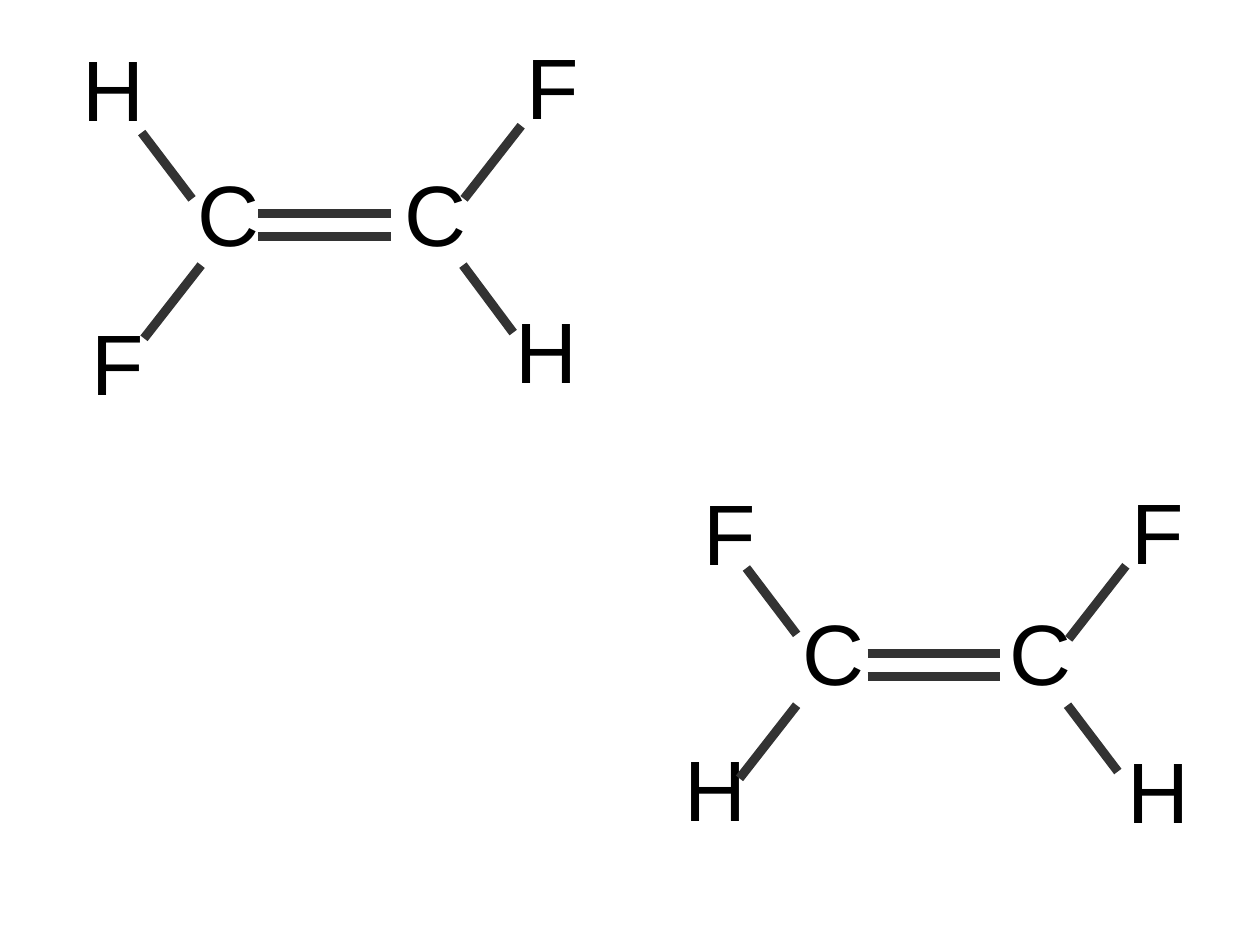
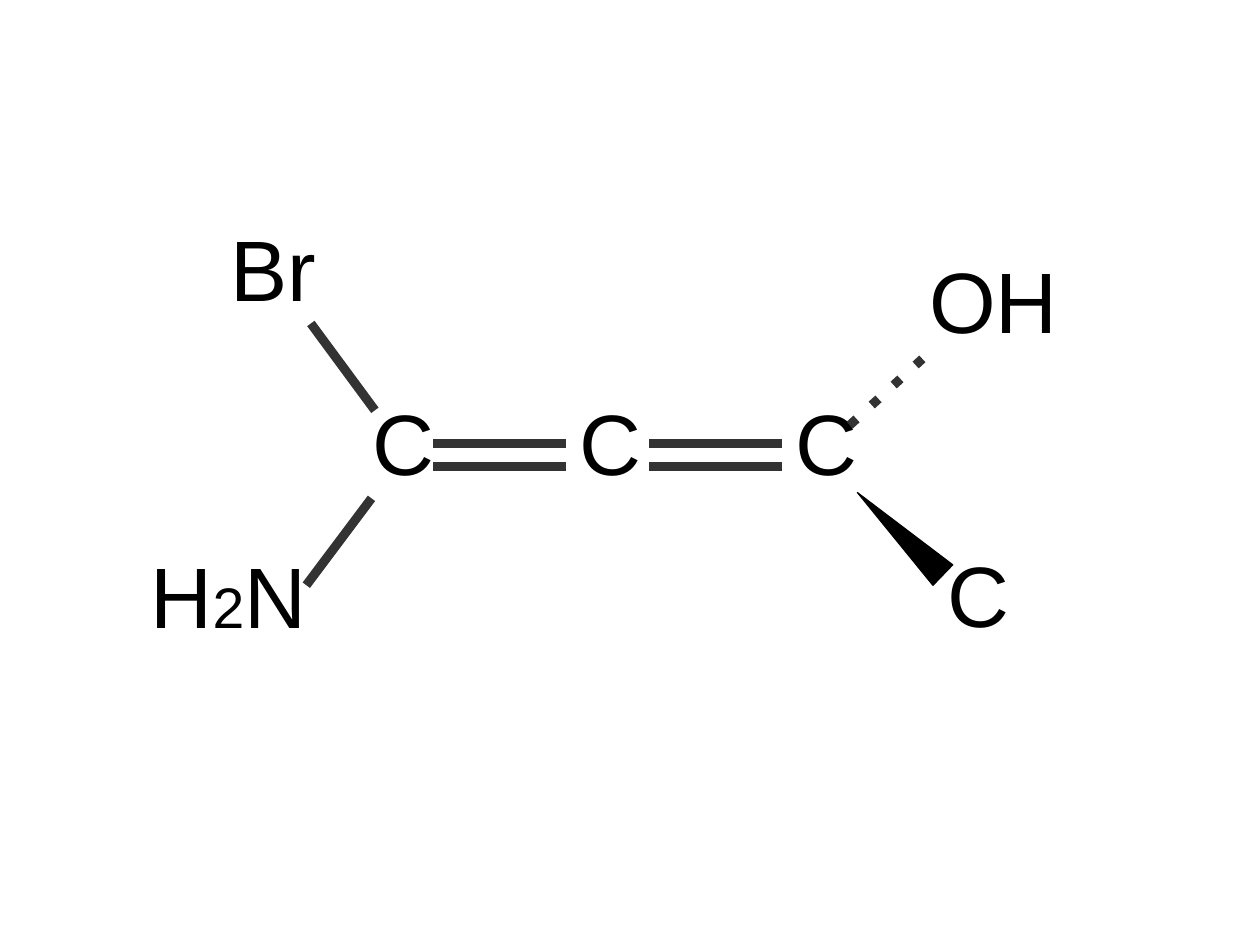
from dataclasses import dataclass
from itertools import groupby

from lxml.etree import SubElement
from pptx import Presentation
from pptx.dml.color import RGBColor
from pptx.enum.shapes import MSO_CONNECTOR, MSO_SHAPE
from pptx.enum.text import MSO_AUTO_SIZE
from pptx.oxml.ns import qn
from pptx.slide import Slide
from pptx.util import Inches, Pt

COLORS = {"text": "000000", "bond": "333333", "wedge": "000000", "back": "FFFFFF"}
FONT = "Arial"
SIZE = 54
SMALL = 36
WEIGHT = 5.75
HEIGHT = 1.21
SPAN = 1.16
GAP = 0.2
INCH = 2.54


@dataclass(frozen=True)
class Atom:
    label: str
    left: float
    top: float
    width: float = 0.88


@dataclass(frozen=True)
class Bond:
    x1: float
    y1: float
    x2: float
    y2: float
    dotted: bool = False


@dataclass(frozen=True)
class Wedge:
    left: float
    top: float
    width: float
    height: float
    turn: float


def double(left: float, top: float) -> list[Bond]:
    return [Bond(left, y, left + SPAN, y) for y in (top, top + GAP)]


TRANS = (
    Atom("C", 1.63, 1.36),
    Atom("C", 3.44, 1.36),
    Atom("H", 0.62, 0.26),
    Atom("F", 4.51, 0.25),
    Atom("F", 0.7, 2.66),
    Atom("H", 4.41, 2.56),
    *double(2.26, 1.87),
    Bond(1.24, 1.16, 1.68, 1.74),
    Bond(4.06, 1.74, 4.56, 1.1),
    Bond(1.26, 2.96, 1.76, 2.32),
    Bond(4.05, 2.32, 4.49, 2.91),
)

CIS = (
    Atom("C", 6.92, 5.2),
    Atom("C", 8.73, 5.2),
    Atom("F", 6.06, 4.15),
    Atom("F", 9.8, 4.14),
    Atom("H", 5.89, 6.39),
    Atom("H", 9.77, 6.41),
    *double(7.59, 5.72),
    Bond(6.53, 4.97, 6.97, 5.55),
    Bond(9.35, 5.59, 9.85, 4.95),
    Bond(6.47, 6.81, 6.97, 6.17),
    Bond(9.34, 6.17, 9.78, 6.75),
)

ALLENE = (
    Wedge(7.75, 4.15, 0.25, 1.04, 314),
    Atom("C", 3.16, 3.36),
    Atom("C", 4.97, 3.36),
    Atom("C", 6.86, 3.36),
    Atom("Br", 1.92, 1.84, 1.12),
    Atom("H2N", 1.22, 4.7, 1.93),
    Atom("OH", 8.03, 2.12, 1.41),
    Atom("C", 8.19, 4.69, 0.92),
    *double(3.79, 3.88),
    *double(5.68, 3.88),
    Bond(3.28, 3.59, 2.72, 2.83),
    Bond(3.25, 4.36, 2.68, 5.12),
    Bond(8.07, 3.14, 7.39, 3.76, dotted=True),
)


def color(name: str) -> RGBColor:
    return RGBColor.from_string(COLORS[name])


def draw_atom(slide: Slide, atom: Atom) -> None:
    box = slide.shapes.add_textbox(
        Inches(atom.left), Inches(atom.top), Inches(atom.width), Inches(HEIGHT)
    )
    frame = box.text_frame
    frame.word_wrap = True
    frame.auto_size = MSO_AUTO_SIZE.NONE
    line = frame.paragraphs[0]
    for digit, signs in groupby(atom.label, str.isdigit):
        run = line.add_run()
        run.text = "".join(signs)
        run.font.name = FONT
        run.font.size = Pt(SMALL if digit else SIZE)
        run.font.color.rgb = color("text")


def draw_bond(slide: Slide, bond: Bond) -> None:
    ends = [Inches(n) for n in (bond.x1, bond.y1, bond.x2, bond.y2)]
    link = slide.shapes.add_connector(MSO_CONNECTOR.STRAIGHT, *ends)
    link.line.color.rgb = color("bond")
    link.line.width = Pt(WEIGHT)
    props = link._element.spPr
    if bond.dotted:
        dash = SubElement(props.find(qn("a:ln")), qn("a:custDash"))
        SubElement(dash, qn("a:ds"), d="100000", sp="225000")
    SubElement(props, qn("a:effectLst"))


def draw_wedge(slide: Slide, wedge: Wedge) -> None:
    shape = slide.shapes.add_shape(
        MSO_SHAPE.ISOSCELES_TRIANGLE,
        Inches(wedge.left),
        Inches(wedge.top),
        Inches(wedge.width),
        Inches(wedge.height),
    )
    shape.rotation = wedge.turn
    shape.shadow.inherit = False
    shape.fill.solid()
    shape.fill.fore_color.rgb = color("wedge")
    shape.line.color.rgb = color("wedge")
    shape.line.width = Pt(0)


DRAW = {Atom: draw_atom, Bond: draw_bond, Wedge: draw_wedge}


def main() -> None:
    deck = Presentation()
    deck.slide_width = Inches(28 / INCH)
    deck.slide_height = Inches(21 / INCH)
    for parts in (TRANS + CIS, ALLENE):
        slide = deck.slides.add_slide(deck.slide_layouts[6])
        slide.background.fill.solid()
        slide.background.fill.fore_color.rgb = color("back")
        for part in parts:
            DRAW[type(part)](slide, part)
    deck.save("out.pptx")


if __name__ == "__main__":
    main()
